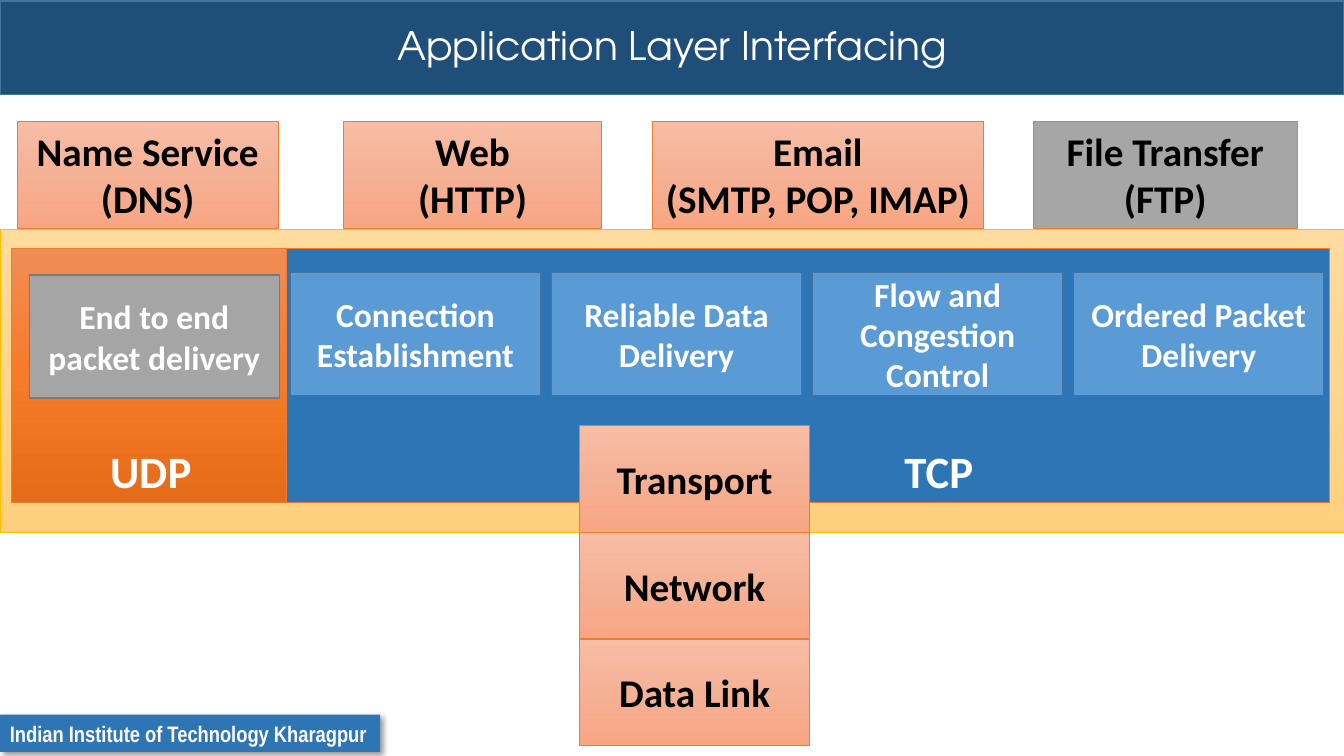
from copy import deepcopy

from lxml import etree
from pptx import Presentation
from pptx.dml.color import RGBColor
from pptx.enum.shapes import MSO_SHAPE as Shape
from pptx.enum.text import MSO_ANCHOR as Anchor, MSO_AUTO_SIZE as AutoSize, PP_ALIGN as Align
from pptx.oxml.ns import qn
from pptx.util import Cm, Pt

PEACH = ("F7BDA5", "F5B196", "F8A582")
AMBER = ("FFDB9E", "FFD590", "FFD07C")
ORANGE = ("F18C57", "F67B28", "E56C19")
WIDTH, HEIGHT = 33.87, 19.05


def color(value):
    return RGBColor.from_string(value)


def fill_gradient(shape, colors):
    """Blend three colours from top to bottom."""
    fill = shape.fill
    fill.gradient()
    fill.gradient_angle = 270
    stop_list = shape._element.spPr.find(".//" + qn("a:gsLst"))
    stop_list.insert(1, deepcopy(stop_list[0]))
    for stop, value, position in zip(fill.gradient_stops, colors, (0, 0.5, 1)):
        stop.color.rgb = color(value)
        stop.position = position


def add_box(slide, box, fill, line=None, weight=0.5):
    shape = slide.shapes.add_shape(Shape.RECTANGLE, *(Cm(value) for value in box))
    shape.shadow.inherit = False
    if isinstance(fill, tuple):
        fill_gradient(shape, fill)
    else:
        shape.fill.solid()
        shape.fill.fore_color.rgb = color(fill)
    if line:
        shape.line.color.rgb = color(line)
        shape.line.width = Pt(weight)
    else:
        shape.line.fill.background()
    return shape


def write(shape, lines, size, ink="FFFFFF", font="Calibri", bold=True,
          align=Align.CENTER, spacing=None, **frame_format):
    frame = shape.text_frame
    for name, value in {"word_wrap": True, "vertical_anchor": Anchor.MIDDLE, **frame_format}.items():
        setattr(frame, name, value)
    for index, line in enumerate(lines):
        para = frame.add_paragraph() if index else frame.paragraphs[0]
        para.alignment = align
        if spacing:
            para.line_spacing = spacing
        span = para.add_run()
        span.text = line
        for name, value in {"name": font, "size": Pt(size), "bold": bold}.items():
            setattr(span.font, name, value)
        span.font.color.rgb = color(ink)


def add_header(slide, box):
    add_box(slide, box, "1F4E79", "43739E", 1)
    title = slide.shapes.title
    title.left, title.top, title.width, title.height = (Cm(value) for value in box)
    write(title, ["Application Layer Interfacing"], 28, font="TeX Gyre Adventor",
          bold=False, spacing=0.9)
    # Bring the title in front of its band
    slide.shapes._spTree.append(title._element)


def add_footer(slide, box):
    footer = add_box(slide, box, "2E75B6")
    write(footer, ["Indian Institute of Technology Kharagpur"], 16, font="Arial Narrow",
          align=Align.LEFT, word_wrap=False, auto_size=AutoSize.SHAPE_TO_FIT_TEXT)
    # Soft shadow towards the lower right
    effects = footer._element.spPr.find(qn("a:effectLst"))
    shadow = etree.SubElement(effects, qn("a:outerShdw"), blurRad=str(Pt(4)),
                              dist=str(Pt(3)), dir="2700000", algn="tl", rotWithShape="0")
    black = etree.SubElement(shadow, qn("a:srgbClr"), val="000000")
    etree.SubElement(black, qn("a:alpha"), val="40000")


def add_udp(slide, box):
    left, top, _, _ = box
    panel = add_box(slide, box, ORANGE, "ED7D31")
    write(panel, ["UDP"], 32, vertical_anchor=Anchor.BOTTOM)
    service = add_box(slide, (left + 0.46, top + 0.66, 6.3, 3.1), "A5A5A5", "7A7A7A", 1)
    write(service, ["End to end packet delivery"], 24)


def add_tcp(slide, box):
    left, top, _, _ = box
    panel = add_box(slide, box, "2E75B6", "ED7D31")
    write(panel, ["TCP"], 32, vertical_anchor=Anchor.BOTTOM, margin_left=Cm(6.86))
    services = ("Connection Establishment", "Reliable Data Delivery",
                "Flow and Congestion Control", "Ordered Packet Delivery")
    for index, name in enumerate(services):
        place = (left + 0.11 + index * 6.58, top + 0.6, 6.3, 3.1)
        write(add_box(slide, place, "5B9BD5", "43739E", 1), [name], 24)


def add_transport(slide, box):
    left, top, _, _ = box
    add_box(slide, box, AMBER, "FFC000")
    add_udp(slide, (left + 0.28, top + 0.5, 7.04, 6.38))
    add_tcp(slide, (left + 7.21, top + 0.5, 26.29, 6.38))


def add_stack(slide, box):
    left, top, width, height = box
    layers = ("Transport", "Network", "Data Link")
    step = height / len(layers)
    for index, name in enumerate(layers):
        layer = add_box(slide, (left, top + index * step, width, step), PEACH, "ED7D31")
        write(layer, [name], 28, "000000")


def add_applications(slide, box):
    left, top, _, height = box
    applications = (
        (0.43, 6.58, PEACH, "Name Service", "(DNS)"),
        (8.66, 6.5, PEACH, "Web", "(HTTP)"),
        (16.43, 8.36, PEACH, "Email", "(SMTP, POP, IMAP)"),
        (26.04, 6.65, "A6A6A6", "File Transfer", "(FTP)"),
    )
    for offset, width, fill, *lines in applications:
        application = add_box(slide, (left + offset, top, width, height), fill, "ED7D31")
        write(application, lines, 28, "000000")


def main():
    deck = Presentation()
    deck.slide_width, deck.slide_height = Cm(WIDTH), Cm(HEIGHT)
    page = deck.slides.add_slide(deck.slide_layouts[5])
    add_header(page, (0, 0.03, WIDTH, 2.36))
    add_footer(page, (0, 18.01, 9.58, 0.94))
    add_transport(page, (0, 5.77, WIDTH, 7.65))
    add_stack(page, (14.61, 10.72, 5.79, 8.07))
    add_applications(page, (0, 3.06, WIDTH, 2.69))
    deck.save("out.pptx")


if __name__ == "__main__":
    main()
